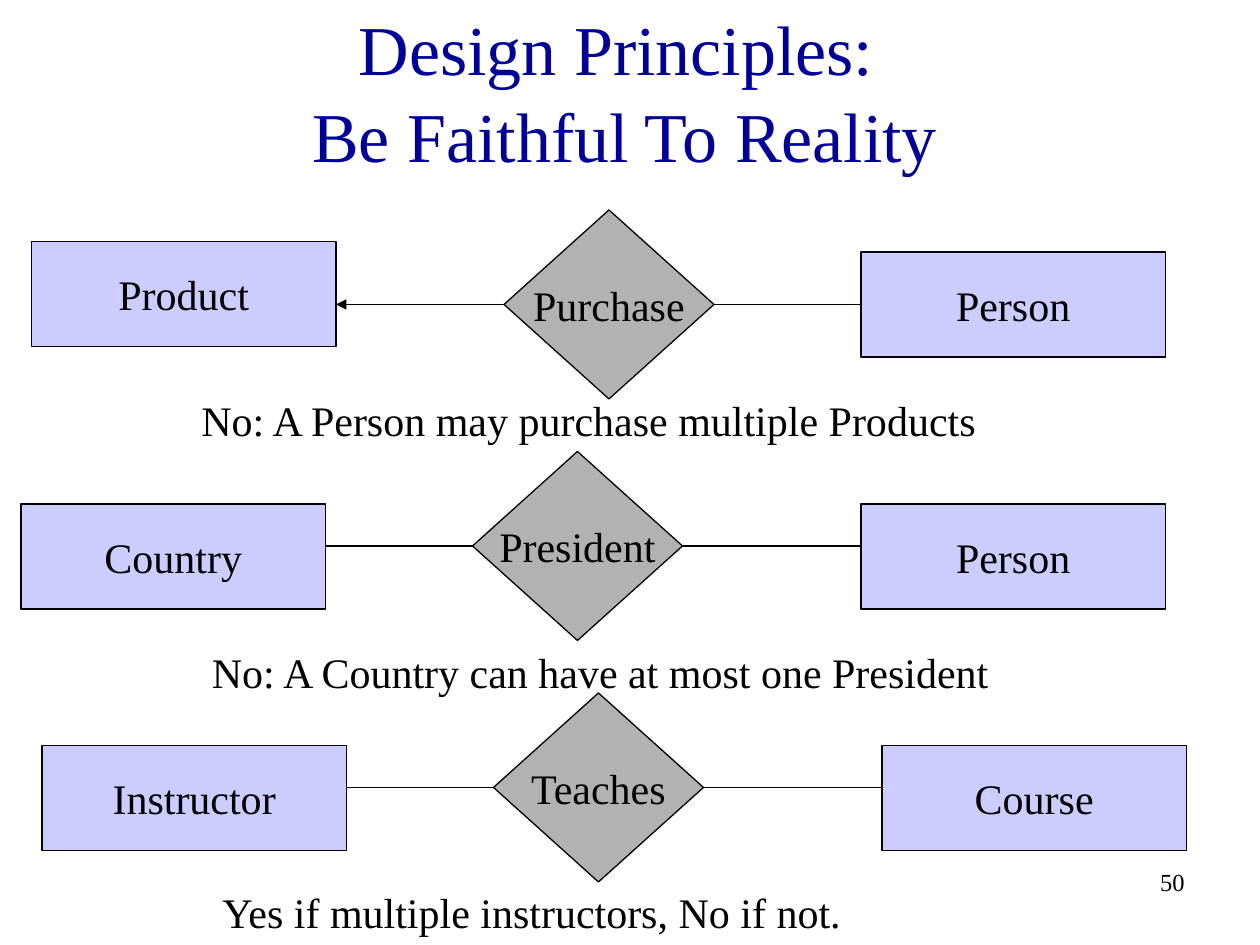
from dataclasses import dataclass
from typing import Optional

from pptx import Presentation
from pptx.dml.color import RGBColor
from pptx.enum.shapes import MSO_CONNECTOR, MSO_SHAPE
from pptx.enum.text import MSO_ANCHOR, PP_ALIGN
from pptx.oxml.ns import qn
from pptx.util import Pt
from lxml.etree import SubElement

COLORS = {
    "title": "000099",
    "ink": "000000",
    "entity": "CCCCFF",
    "relationship": "B2B2B2",
}
FONT_NAME = "Times New Roman"
ENTITY_WIDTH, ENTITY_HEIGHT = 174, 60
DIAMOND_WIDTH, DIAMOND_HEIGHT = 120, 108
FIRST_DIAMOND_TOP, ROW_STEP = 120, 138
LEFT_SITE, RIGHT_SITE = 1, 3


@dataclass
class Entity:
    name: str
    left: float
    top: float


@dataclass
class Relationship:
    name: str
    left: float
    source: Entity
    target: Entity
    arrow_to_source: bool = False


@dataclass
class Label:
    text: str
    left: float
    top: float
    width: float
    height: float
    size: float = 24
    color: str = "ink"
    alignment: PP_ALIGN = PP_ALIGN.LEFT
    anchor: MSO_ANCHOR = MSO_ANCHOR.TOP
    line_spacing: Optional[float] = None


RELATIONSHIPS = [
    Relationship("Purchase", 288, Entity("Product", 18, 138), Entity("Person", 492, 144), True),
    Relationship("President", 270, Entity("Country", 12, 288), Entity("Person", 492, 288)),
    Relationship("Teaches", 282, Entity("Instructor", 24, 426), Entity("Course", 504, 426)),
]
LABELS = [
    Label("50", 534, 492, 150, 36, 14, alignment=PP_ALIGN.RIGHT),
    Label("Design Principles: \vBe Faithful To Reality", 24, 24, 666, 54, 40, "title",
          PP_ALIGN.CENTER, MSO_ANCHOR.MIDDLE, 1.04),
    Label("No: A Person may purchase multiple Products", 108, 222, 468, 36),
    Label("No: A Country can have at most one President", 114, 366, 468, 36),
    Label("Yes if multiple instructors, No if not.", 120, 503, 468, 36),
]


def rgb(name: str) -> RGBColor:
    return RGBColor.from_string(COLORS[name])


def write_text(shape, text: str, size: float, color: str, frame_format: dict, paragraph_format: dict) -> None:
    frame = shape.text_frame
    frame.text = text
    paragraph = frame.paragraphs[0]
    font_format = {"name": FONT_NAME, "size": Pt(size)}
    for target, values in (
        (frame, frame_format),
        (paragraph, paragraph_format),
        (paragraph.font, font_format),
    ):
        for attribute, value in values.items():
            setattr(target, attribute, value)
    paragraph.font.color.rgb = rgb(color)


def draw_label(slide, label: Label) -> None:
    shape = slide.shapes.add_textbox(Pt(label.left), Pt(label.top), Pt(label.width), Pt(label.height))
    write_text(
        shape, label.text, label.size, label.color,
        {"word_wrap": True, "vertical_anchor": label.anchor},
        {"alignment": label.alignment, "line_spacing": label.line_spacing},
    )


def draw_node(slide, kind: MSO_SHAPE, name: str, fill: str, left: float, top: float, width: float, height: float):
    shape = slide.shapes.add_shape(kind, Pt(left), Pt(top), Pt(width), Pt(height))
    shape.shadow.inherit = False
    shape.fill.solid()
    shape.fill.fore_color.rgb = rgb(fill)
    shape.line.color.rgb = rgb("ink")
    shape.line.width = Pt(0.75)
    write_text(
        shape, name, 24, "ink",
        {"word_wrap": False, "vertical_anchor": MSO_ANCHOR.MIDDLE},
        {"alignment": PP_ALIGN.CENTER},
    )
    return shape


def draw_entity(slide, entity: Entity):
    return draw_node(slide, MSO_SHAPE.RECTANGLE, entity.name, "entity",
                     entity.left, entity.top, ENTITY_WIDTH, ENTITY_HEIGHT)


def draw_link(slide, diamond, diamond_site: int, entity_shape, arrow: bool = False) -> None:
    y = diamond.top + diamond.height // 2
    if diamond_site == LEFT_SITE:
        start, end, entity_site = diamond.left, entity_shape.left + entity_shape.width, RIGHT_SITE
    else:
        start, end, entity_site = diamond.left + diamond.width, entity_shape.left, LEFT_SITE
    connector = slide.shapes.add_connector(MSO_CONNECTOR.STRAIGHT, start, y, end, y)
    connector.begin_connect(diamond, diamond_site)
    if y == entity_shape.top + entity_shape.height // 2:
        connector.end_connect(entity_shape, entity_site)
    connector.line.color.rgb = rgb("ink")
    connector.line.width = Pt(0.75)
    if arrow:
        SubElement(connector.line._get_or_add_ln(), qn("a:tailEnd"), type="triangle")
    SubElement(connector._element.spPr, qn("a:effectLst"))


def draw_relationship(slide, relationship: Relationship, top: float) -> None:
    diamond = draw_node(slide, MSO_SHAPE.DIAMOND, relationship.name, "relationship",
                        relationship.left, top, DIAMOND_WIDTH, DIAMOND_HEIGHT)
    source = draw_entity(slide, relationship.source)
    target = draw_entity(slide, relationship.target)
    draw_link(slide, diamond, LEFT_SITE, source, relationship.arrow_to_source)
    draw_link(slide, diamond, RIGHT_SITE, target)


def main() -> None:
    presentation = Presentation()
    presentation.slide_width = Pt(720)
    presentation.slide_height = Pt(540)
    slide = presentation.slides.add_slide(presentation.slide_layouts[6])
    for row, relationship in enumerate(RELATIONSHIPS):
        draw_relationship(slide, relationship, FIRST_DIAMOND_TOP + row * ROW_STEP)
    for label in LABELS:
        draw_label(slide, label)
    presentation.save("out.pptx")


if __name__ == "__main__":
    main()
